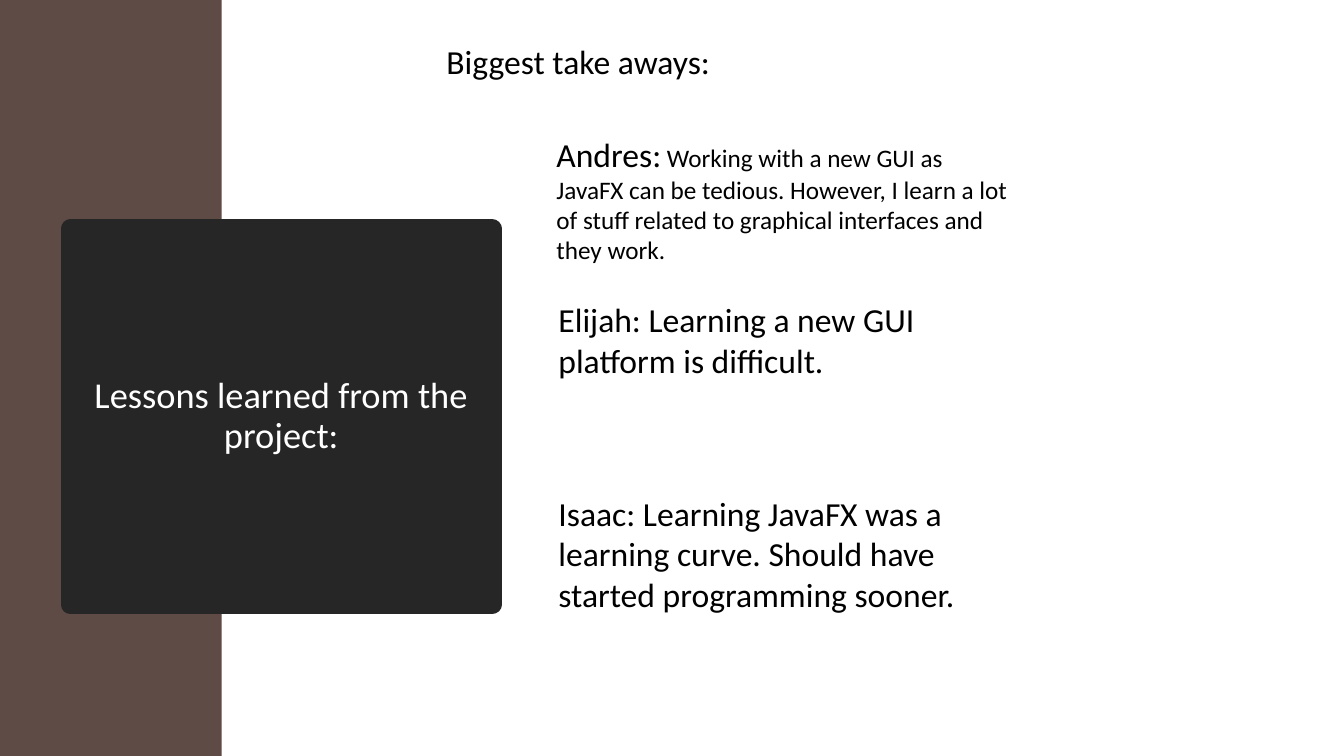
from lxml.etree import SubElement
from pptx import Presentation
from pptx.dml.color import RGBColor
from pptx.enum.shapes import MSO_SHAPE
from pptx.enum.text import MSO_ANCHOR, MSO_AUTO_SIZE, PP_ALIGN
from pptx.oxml.ns import qn
from pptx.util import Emu, Pt

PX = 9144
FONT = "Calibri"
COLORS = {
    "band": "5E4B45",
    "panel": "262626",
    "panel_text": "FFFFFF",
    "body_text": "000000",
}
TAKEAWAY_WIDTH = 469
TAKEAWAYS = [
    (433, 36, 50, [("Biggest take aways:", 24)]),
    (542, 128, 141, [
        ("Andres:", 24),
        (" Working with a new GUI as JavaFX can be tedious. However, I learn "
         "a lot of stuff related to graphical interfaces and they work.", 18),
    ]),
    (544, 292, 91, [("Elijah: Learning a new GUI platform is difficult.", 24)]),
    (544, 484, 131, [
        ("Isaac: Learning JavaFX was a learning curve. Should have started "
         "programming sooner.", 24),
    ]),
]


def px(*lengths):
    return [Emu(length * PX) for length in lengths]


def color(name):
    return RGBColor.from_string(COLORS[name])


def add_runs(paragraph, runs, color_name):
    for text, size in runs:
        run = paragraph.add_run()
        run.text = text
        run.font.name = FONT
        run.font.size = Pt(size)
        run.font.color.rgb = color(color_name)


def add_block(slide, box, color_name):
    block = slide.shapes.add_shape(MSO_SHAPE.RECTANGLE, *px(*box))
    block.shadow.inherit = False
    block.fill.solid()
    block.fill.fore_color.rgb = color(color_name)
    block.line.fill.background()
    return block


def add_title_panel(slide, box, runs):
    panel = add_block(slide, box, "panel")
    panel.line.color.rgb = color("panel")
    panel.line.width = Pt(13.75)
    SubElement(panel.line._get_or_add_ln(), qn("a:round"))
    frame = panel.text_frame
    frame.word_wrap = True
    frame.vertical_anchor = MSO_ANCHOR.MIDDLE
    heading = frame.paragraphs[0]
    heading.alignment = PP_ALIGN.CENTER
    heading.line_spacing = 0.9
    add_runs(heading, runs, "panel_text")


def add_takeaway(slide, left, top, height, runs):
    takeaway = slide.shapes.add_textbox(*px(left, top, TAKEAWAY_WIDTH, height))
    frame = takeaway.text_frame
    frame.word_wrap = True
    frame.auto_size = MSO_AUTO_SIZE.SHAPE_TO_FIT_TEXT
    add_runs(frame.paragraphs[0], runs, "body_text")


def main():
    deck = Presentation()
    deck.slide_width, deck.slide_height = px(1333, 750)
    slide = deck.slides.add_slide(deck.slide_layouts[6])
    add_block(slide, (0, 0, 220, 750), "band")
    add_title_panel(slide, (70, 227, 418, 373),
                    [("Lessons learned from the project:", 26)])
    for left, top, height, runs in TAKEAWAYS:
        add_takeaway(slide, left, top, height, runs)
    deck.save("out.pptx")


if __name__ == "__main__":
    main()
